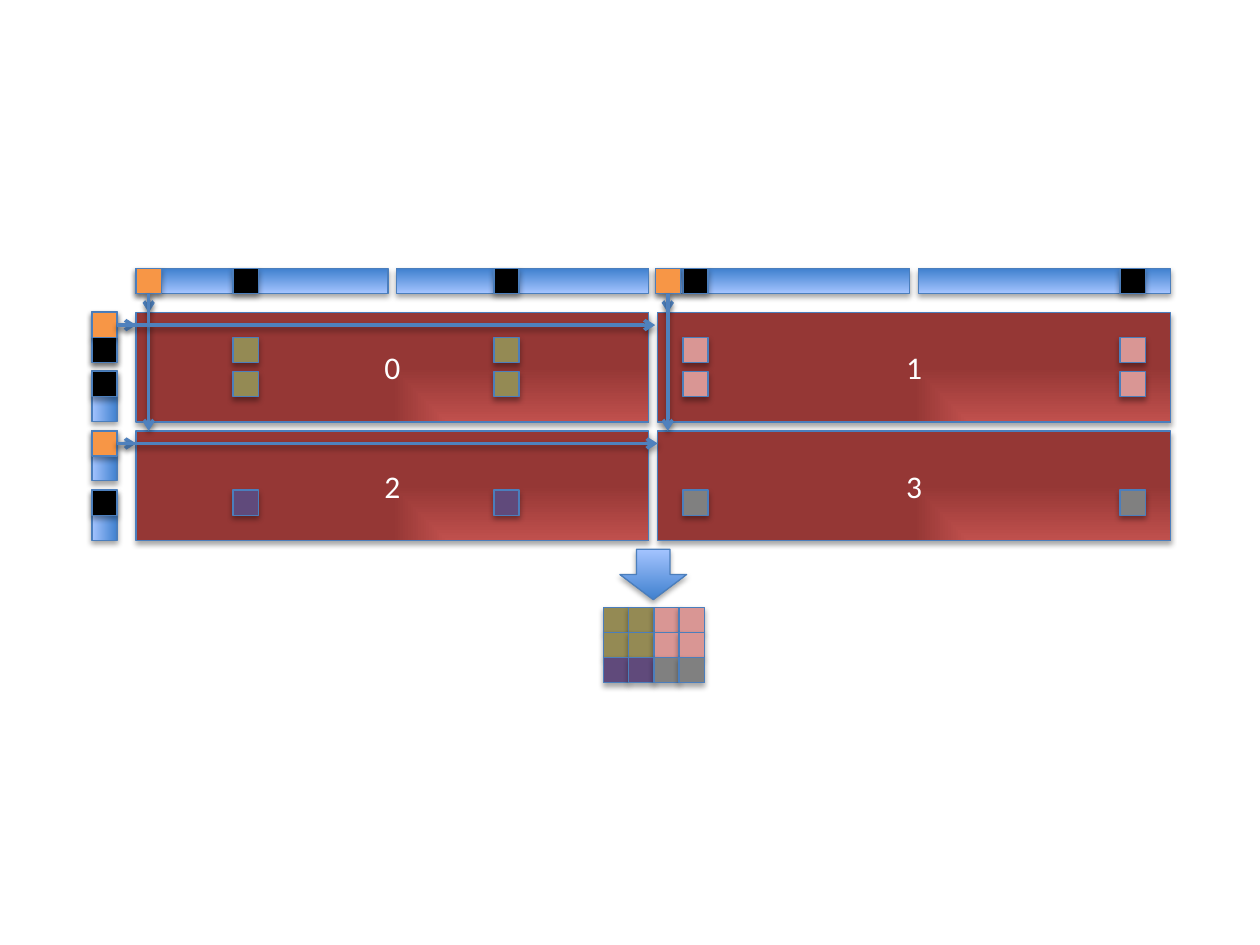
"""Build a slide that gathers marked cells of a 2 x 2 block matrix into one small grid."""
import lxml.etree
import pptx
import pptx.dml.color
import pptx.enum.shapes
import pptx.enum.text
import pptx.oxml.ns
import pptx.util

Pt = pptx.util.Pt
RGB = pptx.dml.color.RGBColor.from_string
qn = pptx.oxml.ns.qn
MSO = pptx.enum.shapes.MSO_SHAPE

COLORS = {
    "outline": "4B7EBC", "arrow": "4F81BD", "text": "FFFFFF",
    "blue_dark": "3F80CE", "blue_light": "A4C4FF",
    "red_light": "C0504D", "red_dark": "953735",
    "pivot": "F79646", "mark": "000000",
    "olive": "948A54", "pink": "D99694", "purple": "604A7B", "gray": "808080",
}
CELL = 14.4
TOP_Y, SIDE_X = 153.36, 52.56
BLOCK_W, BLOCK_H = 293.04, 62.64
BLOCK_XS, BLOCK_YS = (77.76, 375.84), (178.56, 246.24)
PIVOT_XS = (77.76, 374.4)
MARK_XS = (133.2, 282.24, 390.24, 640.08)
MARK_YS = (192.96, 212.4, 280.08)
RESULT_X, RESULT_Y = 344.88, 347.04
CELL_COLORS = (
    ("olive", "olive", "pink", "pink"),
    ("olive", "olive", "pink", "pink"),
    ("purple", "purple", "gray", "gray"),
)

prs = pptx.Presentation()
prs.slide_width, prs.slide_height = Pt(720), Pt(540)
s = prs.slides.add_slide(prs.slide_layouts[6])


def add_box(x, y, w, h, *fill, shape=MSO.RECTANGLE):
    """Add an outlined shape with one solid colour or two gradient colours."""
    sp = s.shapes.add_shape(shape, Pt(x), Pt(y), Pt(w), Pt(h))
    if len(fill) == 1:
        sp.fill.solid()
        sp.fill.fore_color.rgb = RGB(COLORS[fill[0]])
    else:
        sp.fill.gradient()
        sp.fill.gradient_angle = 90
        for stop, name, position in zip(sp.fill.gradient_stops, fill, (0, 1)):
            stop.color.rgb = RGB(COLORS[name])
            stop.position = position
    sp.line.color.rgb = RGB(COLORS["outline"])
    sp.line.width = Pt(0.75)
    return sp


def add_arrow(start, site, x1, y1, x2, y2):
    """Add an arrow that leaves a connection site of a shape."""
    c = s.shapes.add_connector(
        pptx.enum.shapes.MSO_CONNECTOR.STRAIGHT, Pt(x1), Pt(y1), Pt(x2), Pt(y2))
    c.begin_connect(start, site)
    c.line.color.rgb = RGB(COLORS["arrow"])
    c.line.width = Pt(2)
    lxml.etree.SubElement(c.line._get_or_add_ln(), qn("a:tailEnd"), type="arrow")


for i in range(4):
    top_bar = add_box(77.76 + 149.04 * i, TOP_Y, 144, CELL, "blue_dark", "blue_light")
    side_bar = add_box(45.36, 185.04 + 34.08 * i, 28.8, CELL, "blue_dark", "blue_light")
    side_bar.rotation = 90
    for sp in (top_bar, side_bar):
        sp._element.spPr.find(qn("a:xfrm")).set("flipV", "1")

for row, y in enumerate(BLOCK_YS):
    for col, x in enumerate(BLOCK_XS):
        sp = add_box(x, y, BLOCK_W, BLOCK_H, "red_light", "red_dark")
        grad = sp._element.spPr.find(qn("a:gradFill"))
        grad.remove(grad.find(qn("a:lin")))
        corner = lxml.etree.SubElement(grad, qn("a:path"), path="rect")
        lxml.etree.SubElement(corner, qn("a:fillToRect"), l="100000", t="100000")
        tf = sp.text_frame
        tf.vertical_anchor = pptx.enum.text.MSO_ANCHOR.MIDDLE
        p = tf.paragraphs[0]
        p.alignment = pptx.enum.text.PP_ALIGN.CENTER
        r = p.add_run()
        r.text = str(2 * row + col)
        r.font.name = "Calibri"
        r.font.size = Pt(18)
        r.font.color.rgb = RGB(COLORS["text"])

for x in MARK_XS:
    add_box(x, TOP_Y, CELL, CELL, "mark")
for y in MARK_YS:
    add_box(SIDE_X, y, CELL, CELL, "mark")
for row, names in enumerate(CELL_COLORS):
    for col, name in enumerate(names):
        add_box(MARK_XS[col], MARK_YS[row], CELL, CELL, name)

for x in PIVOT_XS:
    pivot = add_box(x, TOP_Y, CELL, CELL, "pivot")
    for end_y in BLOCK_YS:
        add_arrow(pivot, 2, x + CELL / 2, TOP_Y + CELL, x + CELL / 2, end_y)
for y, far_x in zip(BLOCK_YS, (374.4, 375.84)):
    pivot = add_box(SIDE_X, y, CELL, CELL, "pivot")
    for end_x in (BLOCK_XS[0], far_x):
        add_arrow(pivot, 3, SIDE_X + CELL, y + CELL / 2, end_x, y + CELL / 2)

for row, names in enumerate(CELL_COLORS):
    for col, name in enumerate(names):
        add_box(RESULT_X + col * CELL, RESULT_Y + row * CELL, CELL, CELL, name)
add_box(354.24, 313.92, 38.16, 28.8, "blue_dark", "blue_light", shape=MSO.DOWN_ARROW)

prs.save("out.pptx")
